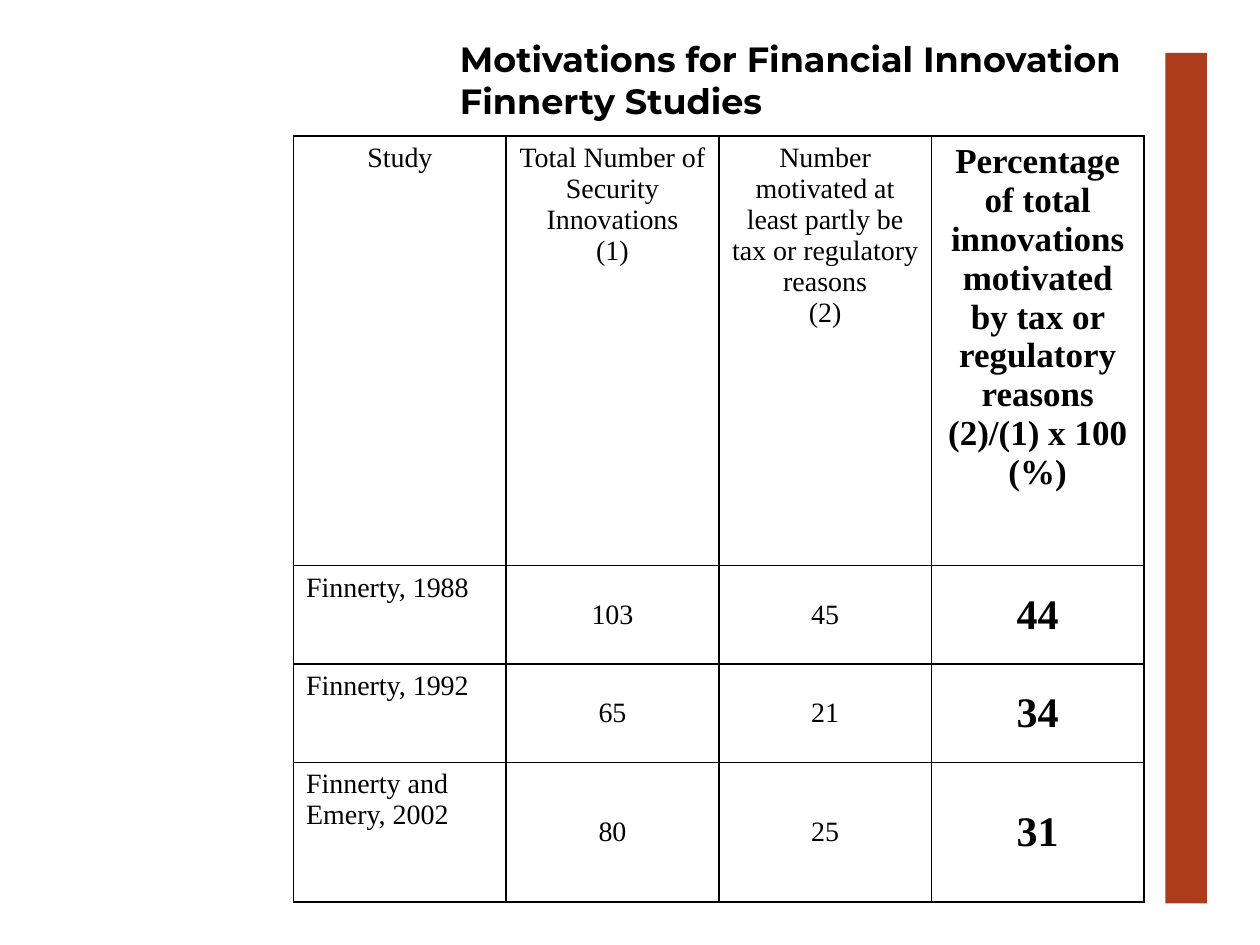
from dataclasses import dataclass

from lxml import etree
from pptx import Presentation
from pptx.dml.color import RGBColor as RGB
from pptx.enum.shapes import MSO_SHAPE as Shape
from pptx.enum.text import MSO_ANCHOR as Anchor, MSO_AUTO_SIZE as AutoSize, PP_ALIGN as Align
from pptx.oxml.ns import qn
from pptx.util import Inches, Pt


@dataclass(frozen=True)
class Theme:
    ink: str = "000000"
    accent: str = "AD3C1D"
    title_font: str = "Montserrat"
    table_font: str = "Times New Roman"
    title: int = 20
    body: int = 16
    heading: int = 20
    result: int = 24
    border: int = 1


class Deck:
    def __init__(self, theme):
        self.theme = theme
        self.prs = Presentation()
        self.prs.slide_width, self.prs.slide_height = Inches(10), Inches(7.5)
        self.s = self.prs.slides.add_slide(self.prs.slide_layouts[5])

    def add_lines(self, tf, lines, font, size, bold=False, align=Align.LEFT):
        for i, line in enumerate(lines):
            p = tf.paragraphs[0] if i == 0 else tf.add_paragraph()
            p.alignment = align
            r = p.add_run()
            r.text = line
            r.font.name, r.font.size, r.font.bold = font, Pt(size), bold
            r.font.color.rgb = RGB.from_string(self.theme.ink)

    def title(self, lines, x, y, w, h):
        sp = self.s.shapes.title
        sp.left, sp.top, sp.width, sp.height = map(Inches, (x, y, w, h))
        tf = sp.text_frame
        tf.word_wrap = False
        tf.auto_size = AutoSize.SHAPE_TO_FIT_TEXT
        tf.vertical_anchor = Anchor.TOP
        self.add_lines(tf, lines, self.theme.title_font, self.theme.title, True)

    def bar(self, x, y, w, h):
        sp = self.s.shapes.add_shape(Shape.RECTANGLE, *map(Inches, (x, y, w, h)))
        sp.shadow.inherit = False
        sp.fill.solid()
        sp.fill.fore_color.rgb = RGB.from_string(self.theme.accent)
        sp.line.fill.background()

    def borders(self, cell):
        tc_pr = cell._tc.get_or_add_tcPr()
        for i, side in enumerate(("lnL", "lnR", "lnT", "lnB")):
            ln = etree.Element(qn(f"a:{side}"), w=str(Pt(self.theme.border)))
            fill = etree.SubElement(ln, qn("a:solidFill"))
            etree.SubElement(fill, qn("a:srgbClr"), val=self.theme.ink)
            tc_pr.insert(i, ln)

    def table(self, rows, x, y, w, heights):
        t = self.theme
        n = len(rows[0])
        frame = self.s.shapes.add_table(
            len(rows), n, *map(Inches, (x, y, w, sum(heights))))
        tbl = frame.table
        tbl.first_row = tbl.horz_banding = False
        for col in tbl.columns:
            col.width = Inches(w / n)
        for i, (row, height) in enumerate(zip(rows, heights)):
            tbl.rows[i].height = Inches(height)
            for j, lines in enumerate(row):
                cell = tbl.cell(i, j)
                cell.fill.background()
                self.borders(cell)
                header, last = i == 0, j == n - 1
                size = (t.heading if header else t.result) if last else t.body
                align = Align.CENTER if header or j else Align.LEFT
                if not header and j:
                    cell.vertical_anchor = Anchor.MIDDLE
                self.add_lines(cell.text_frame, lines, t.table_font, size, last, align)


deck = Deck(Theme())

# Accent bar
deck.bar(9.25, 0.42, 0.33, 6.75)

# Study table
header = [
    ["Study"],
    ["Total Number of Security Innovations", "(1)"],
    ["Number motivated at least partly be tax or regulatory reasons", "(2)"],
    ["Percentage of total innovations motivated by tax or regulatory reasons",
     "(2)/(1) x 100", "(%)"],
]
studies = [
    ("Finnerty, 1988", 103, 45, 44),
    ("Finnerty, 1992", 65, 21, 34),
    ("Finnerty and Emery, 2002", 80, 25, 31),
]
rows = [header] + [[[str(value)] for value in study] for study in studies]
deck.table(rows, 2.33, 1.08, 6.75, (3.41, 0.78, 0.78, 1.11))

# Title
deck.title(["Motivations for Financial Innovation", "Finnerty Studies"],
           3.55, 0.25, 5.7, 0.77)

deck.prs.save("out.pptx")
